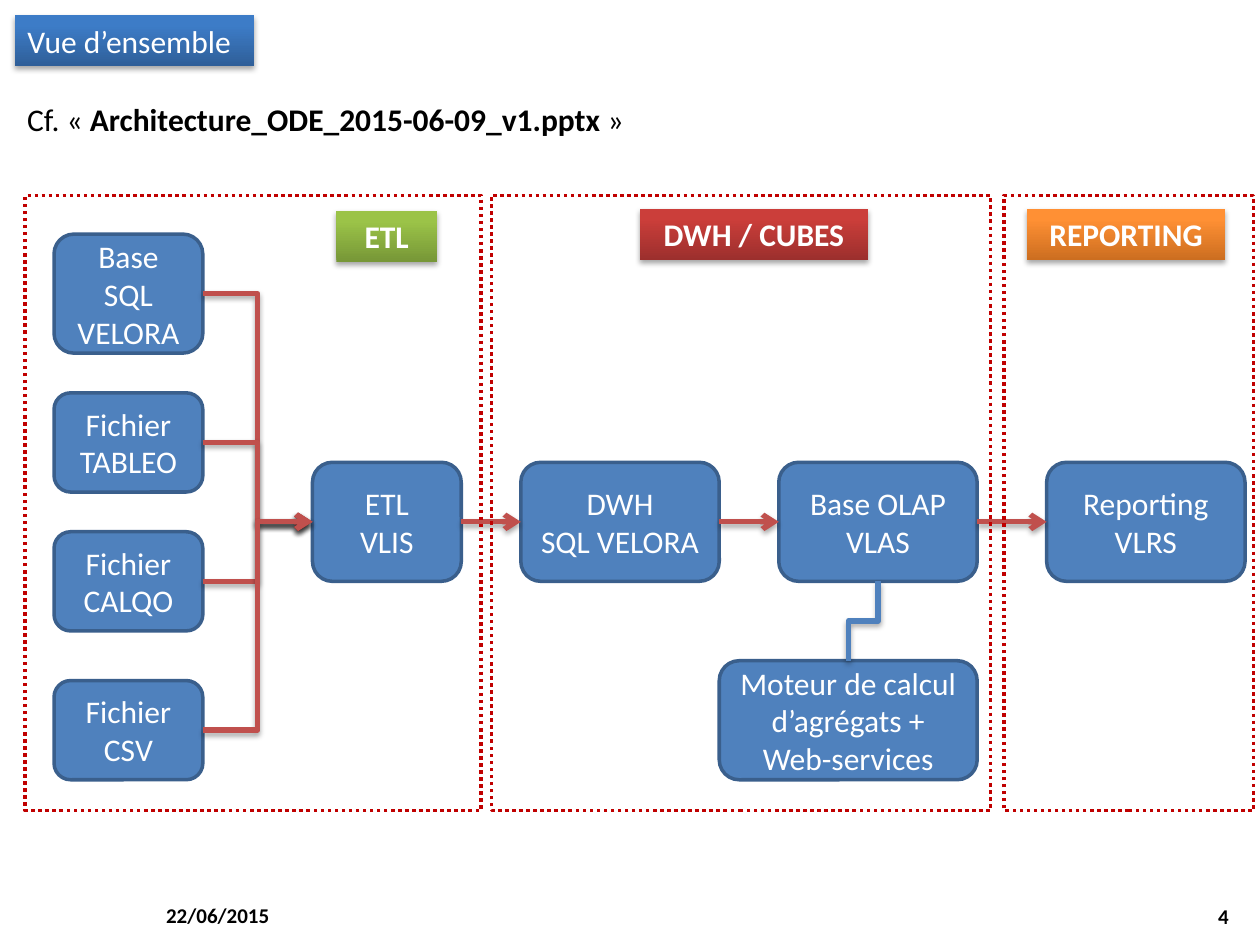
"""Build the overview slide of the ETL, warehouse and reporting architecture."""
import pptx
import pptx.dml.color
import pptx.enum.dml
import pptx.enum.shapes
import pptx.enum.text
import pptx.oxml.ns
import pptx.util
from lxml import etree

Cm, Pt = pptx.util.Cm, pptx.util.Pt
RGB = pptx.dml.color.RGBColor.from_string
SHAPE = pptx.enum.shapes.MSO_SHAPE
CONNECTOR = pptx.enum.shapes.MSO_CONNECTOR
ALIGN = pptx.enum.text.PP_ALIGN
ANCHOR = pptx.enum.text.MSO_ANCHOR
qn = pptx.oxml.ns.qn

COLOURS = {
    "black": "000000", "white": "FFFFFF",
    "box": "4F81BD", "box edge": "3A5F8C", "arrow": "C0504D", "panel": "C00000",
    "blue": ("2F5F99", "3D7CC7"), "green": ("779737", "9BC348"),
    "red": ("9C2F2D", "CB3E3A"), "orange": ("CC6E20", "FF9034"),
}


def write(shape, lines, colour="white", align=ALIGN.CENTER, size=18, bold=False):
    frame = shape.text_frame
    frame.text = "\n".join(lines)
    frame.word_wrap = True
    frame.auto_size = pptx.enum.text.MSO_AUTO_SIZE.NONE
    frame.vertical_anchor = ANCHOR.MIDDLE
    for para in frame.paragraphs:
        para.alignment = align
        para.font.name = "Calibri"
        para.font.size = Pt(size)
        para.font.bold = bold
        para.font.color.rgb = RGB(COLOURS[colour])


def add_shadow(shape):
    effects = etree.SubElement(shape._element.spPr, qn("a:effectLst"))
    outer = etree.SubElement(effects, qn("a:outerShdw"), blurRad="40000",
                             dist="23000", dir="5400000", rotWithShape="0")
    tint = etree.SubElement(outer, qn("a:srgbClr"), val=COLOURS["black"])
    etree.SubElement(tint, qn("a:alpha"), val="35000")


deck = pptx.Presentation()
deck.slide_width, deck.slide_height = Cm(25.4), Cm(19.05)
page = deck.slides.add_slide(deck.slide_layouts[5])

title = page.shapes.title
title.left, title.top, title.width, title.height = Cm(0.3), Cm(0.3), Cm(4.83), Cm(1.03)
write(title, ["Vue d’ensemble"], align=ALIGN.LEFT)

reference = page.shapes.add_textbox(Cm(0.3), Cm(1.88), Cm(12.65), Cm(1.03))
write(reference, [""], "black", ALIGN.LEFT)
for text, bold in [("Cf. « ", False),
                   ("Architecture_ODE_2015-06-09_v1.pptx", True),
                   (" »", False)]:
    span = reference.text_frame.paragraphs[0].add_run()
    span.text = text
    span.font.bold = bold

for text, left, top, align in [("22/06/2015", 3.1, 17.93, ALIGN.LEFT),
                               ("4", 19.1, 17.96, ALIGN.RIGHT)]:
    footer = page.shapes.add_textbox(Cm(left), Cm(top), Cm(5.92), Cm(1.02))
    write(footer, [text], "black", align, 12, True)

boxes = {}
for name, lines, left, top, width, height in [
    ("database", ["Base", "SQL VELORA"], 1.09, 4.72, 3, 2.4),
    ("access", ["Fichier", "TABLEO"], 1.09, 7.92, 3, 2),
    ("sheet", ["Fichier", "CALQO"], 1.09, 10.72, 3, 2),
    ("csv", ["Fichier", "CSV"], 1.09, 13.72, 3, 2),
    ("etl", ["ETL", "VLIS"], 6.3, 9.32, 3, 2.4),
    ("warehouse", ["DWH", "SQL VELORA"], 10.5, 9.32, 4, 2.4),
    ("olap", ["Base OLAP", "VLAS"], 15.7, 9.32, 4, 2.4),
    ("reporting", ["Reporting", "VLRS"], 21.1, 9.32, 4, 2.4),
    ("engine", ["Moteur de calcul d’agrégats + Web-services"], 14.5, 13.32, 5.2, 2.4),
]:
    box = page.shapes.add_shape(SHAPE.ROUNDED_RECTANGLE,
                                Cm(left), Cm(top), Cm(width), Cm(height))
    box.shadow.inherit = False
    box.fill.solid()
    box.fill.fore_color.rgb = RGB(COLOURS["box"])
    box.line.color.rgb = RGB(COLOURS["box edge"])
    box.line.width = Pt(2)
    write(box, lines)
    boxes[name] = box

flows = [(source, "etl", CONNECTOR.ELBOW)
         for source in ("database", "access", "sheet", "csv")]
flows += [(start, end, CONNECTOR.STRAIGHT)
          for start, end in [("etl", "warehouse"), ("warehouse", "olap"),
                             ("olap", "reporting")]]
for start, end, kind in flows:
    arrow = page.shapes.add_connector(kind, 0, 0, 0, 0)
    arrow.begin_connect(boxes[start], 3)
    arrow.end_connect(boxes[end], 1)
    arrow.line.color.rgb = RGB(COLOURS["arrow"])
    arrow.line.width = Pt(3)
    etree.SubElement(arrow.line._get_or_add_ln(), qn("a:tailEnd"), type="arrow")
    add_shadow(arrow)

engine_link = page.shapes.add_connector(CONNECTOR.ELBOW, Cm(18.2), Cm(12.82),
                                        Cm(16.6), Cm(12.22))
engine_link._element.spPr.find(qn("a:xfrm")).set("rot", "5400000")
engine_link.line.color.rgb = RGB(COLOURS["box"])
engine_link.line.width = Pt(3)
add_shadow(engine_link)

for left, width in [(0.51, 9.19), (9.91, 10.06), (20.24, 5.03)]:
    panel = page.shapes.add_shape(SHAPE.RECTANGLE, Cm(left), Cm(3.94), Cm(width), Cm(12.4))
    panel.shadow.inherit = False
    panel.fill.background()
    panel.line.color.rgb = RGB(COLOURS["panel"])
    panel.line.width = Pt(2)
    panel.line.dash_style = pptx.enum.dml.MSO_LINE.ROUND_DOT

tags = [(title, "blue")]
for text, colour, left, top, width in [("ETL", "green", 6.78, 4.25, 2.03),
                                       ("DWH / CUBES", "red", 12.9, 4.21, 4.6),
                                       ("REPORTING", "orange", 20.7, 4.21, 4)]:
    tag = page.shapes.add_shape(SHAPE.RECTANGLE, Cm(left), Cm(top), Cm(width), Cm(1.03))
    write(tag, [text], bold=True)
    tags.append((tag, colour))

for tag, colour in tags:
    tag.fill.gradient()
    tag.fill.gradient_angle = 90
    for stop, shade, position in zip(tag.fill.gradient_stops, COLOURS[colour], (0, 0.8)):
        stop.color.rgb = RGB(shade)
        stop.position = position
    tag.line.fill.background()
    add_shadow(tag)

deck.save("out.pptx")
